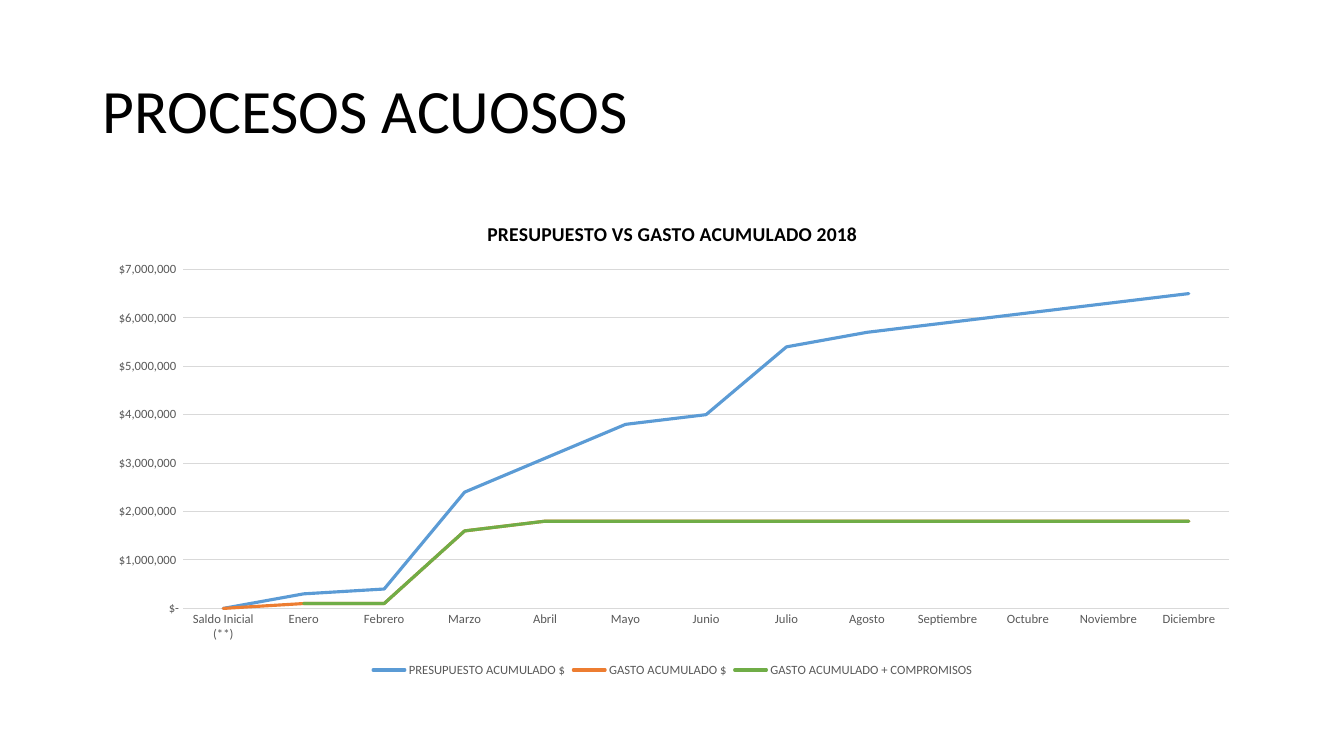
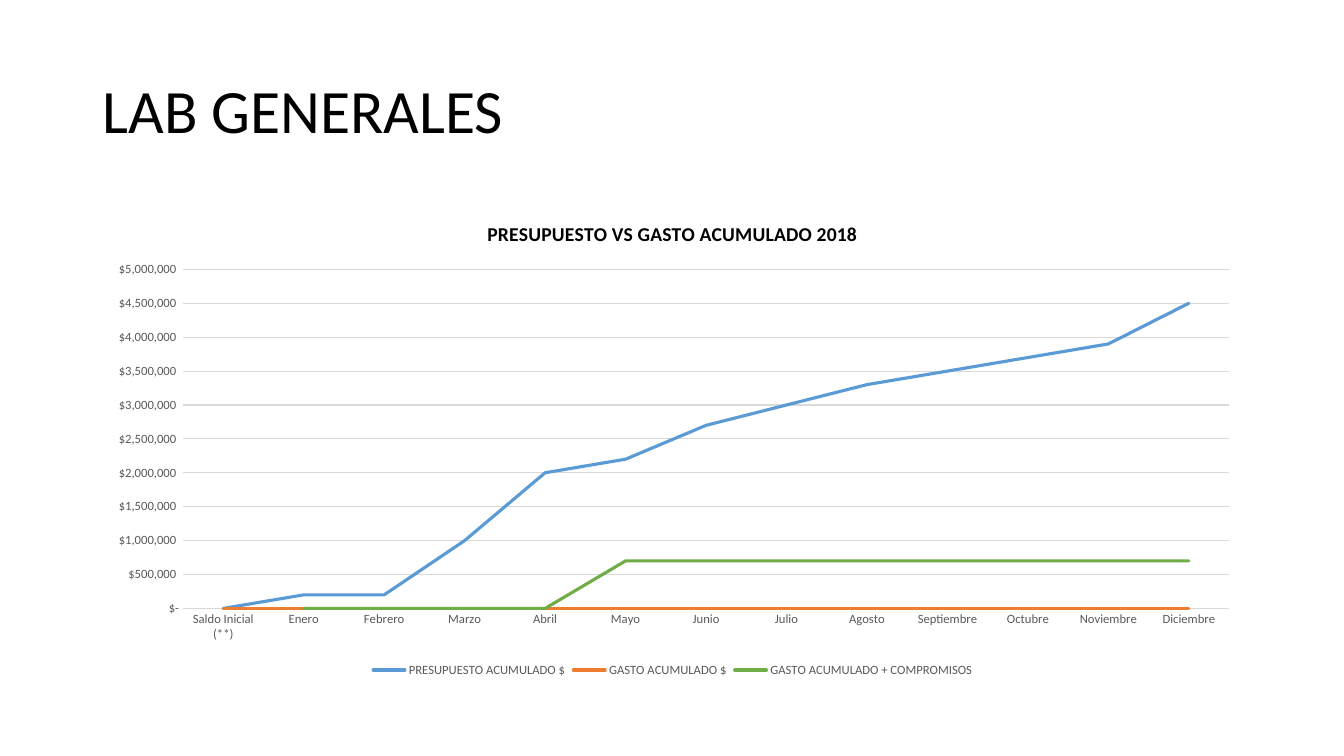
"""Build the two budget-versus-spending slides."""
from dataclasses import dataclass

import pptx
import pptx.chart.chart
import pptx.chart.data
import pptx.dml.color
import pptx.enum.chart
import pptx.enum.text
import pptx.oxml.ns
import pptx.presentation
import pptx.slide
import pptx.text.text
import pptx.util

Inches = pptx.util.Inches
Pt = pptx.util.Pt


@dataclass(frozen=True)
class Theme:
    font: str = "Calibri"
    background: str = "FFFFFF"
    ink: str = "000000"
    muted: str = "595959"
    grid: str = "D9D9D9"
    budget: str = "5B9BD5"
    spent: str = "ED7D31"
    committed: str = "70AD47"
    title_size: float = 44
    chart_title_size: float = 14
    chart_size: float = 10
    label_size: float = 9
    series_width: float = 2.25
    grid_width: float = 0.75


@dataclass(frozen=True)
class Box:
    left: float
    top: float
    width: float
    height: float


@dataclass(frozen=True)
class Department:
    name: str
    budget: list[int]
    spent: list[int]
    committed: list[int | None]
    axis_top: int
    axis_step: int


THEME = Theme()
TITLE_BOX = Box(0.92, 0.4, 11.5, 1.45)
CHART_BOX = Box(0.92, 2, 11.5, 4.76)
CHART_TITLE = "PRESUPUESTO VS GASTO ACUMULADO 2018"
MONEY = '_-"$"* #,##0_-;\\-"$"* #,##0_-;_-"$"* "-"'
PERIODS = [
    "Saldo Inicial (**)", "Enero", "Febrero", "Marzo", "Abril", "Mayo", "Junio",
    "Julio", "Agosto", "Septiembre", "Octubre", "Noviembre", "Diciembre",
]
DEPARTMENTS = [
    Department(
        "PROCESOS ACUOSOS",
        [0, 300000, 400000, 2400000, 3100000, 3800000, 4000000,
         5400000, 5700000, 5900000, 6100000, 6300000, 6500000],
        [0, 100000, 100000, 1600000] + [1800000] * 9,
        [None, 100000, 100000, 1600000] + [1800000] * 9,
        7000000, 1000000,
    ),
    Department(
        "LAB GENERALES",
        [0, 200000, 200000, 1000000, 2000000, 2200000, 2700000,
         3000000, 3300000, 3500000, 3700000, 3900000, 4500000],
        [0] * 13,
        [None, 0, 0, 0, 0] + [700000] * 8,
        5000000, 500000,
    ),
]


def rgb(value: str) -> pptx.dml.color.RGBColor:
    """Return the colour for a hex value."""
    return pptx.dml.color.RGBColor.from_string(value)


def style_font(font: pptx.text.text.Font, size: float, color: str, bold: bool = False) -> None:
    """Apply the theme typeface with a size and colour."""
    font.name = THEME.font
    font.size = Pt(size)
    font.bold = bold
    font.color.rgb = rgb(color)


def add_title(slide: pptx.slide.Slide, text: str) -> None:
    """Place and format the slide title."""
    title = slide.shapes.title
    title.left, title.top = Inches(TITLE_BOX.left), Inches(TITLE_BOX.top)
    title.width, title.height = Inches(TITLE_BOX.width), Inches(TITLE_BOX.height)
    frame = title.text_frame
    frame.text = text
    frame.word_wrap = True
    frame.auto_size = pptx.enum.text.MSO_AUTO_SIZE.NONE
    frame.vertical_anchor = pptx.enum.text.MSO_ANCHOR.MIDDLE
    heading = frame.paragraphs[0]
    heading.alignment = pptx.enum.text.PP_ALIGN.LEFT
    heading.line_spacing = 0.9
    style_font(heading.font, THEME.title_size, THEME.ink)


def style_axes(chart: pptx.chart.chart.Chart, department: Department) -> None:
    """Format the period and money axes."""
    periods, money = chart.category_axis, chart.value_axis
    for axis in (periods, money):
        axis.major_tick_mark = pptx.enum.chart.XL_TICK_MARK.NONE
        axis.minor_tick_mark = pptx.enum.chart.XL_TICK_MARK.NONE
        style_font(axis.tick_labels.font, THEME.label_size, THEME.muted)
    money.minimum_scale, money.maximum_scale = 0, department.axis_top
    money.major_unit = department.axis_step
    money.tick_labels.number_format = MONEY
    money.tick_labels.number_format_is_linked = False
    money.format.line.fill.background()
    money.has_major_gridlines = True
    for line in (periods.format.line, money.major_gridlines.format.line):
        line.color.rgb = rgb(THEME.grid)
        line.width = Pt(THEME.grid_width)


def style_series(chart: pptx.chart.chart.Chart) -> None:
    """Colour the series and round their line ends."""
    plot = chart.plots[0]
    plot.vary_by_categories = False
    for series, color in zip(plot.series, (THEME.budget, THEME.spent, THEME.committed)):
        series.smooth = False
        series.marker.style = pptx.enum.chart.XL_MARKER_STYLE.NONE
        series.format.line.color.rgb = rgb(color)
        series.format.line.width = Pt(THEME.series_width)
        outline = series._element.find(f".//{pptx.oxml.ns.qn('a:ln')}")
        outline.set("cap", "rnd")


def add_budget_chart(slide: pptx.slide.Slide, department: Department) -> None:
    """Draw accumulated budget, spending and commitments."""
    figures = pptx.chart.data.CategoryChartData(number_format=MONEY)
    figures.categories = PERIODS
    figures.add_series("PRESUPUESTO ACUMULADO $", department.budget)
    figures.add_series("GASTO ACUMULADO $", department.spent)
    figures.add_series("GASTO ACUMULADO + COMPROMISOS", department.committed)
    chart = slide.shapes.add_chart(
        pptx.enum.chart.XL_CHART_TYPE.LINE,
        Inches(CHART_BOX.left), Inches(CHART_BOX.top),
        Inches(CHART_BOX.width), Inches(CHART_BOX.height), figures,
    ).chart
    style_font(chart.font, THEME.chart_size, THEME.ink)
    chart.has_title = True
    chart.chart_title.include_in_layout = False
    chart.chart_title.text_frame.text = CHART_TITLE
    heading = chart.chart_title.text_frame.paragraphs[0]
    style_font(heading.font, THEME.chart_title_size, THEME.ink, bold=True)
    chart.has_legend = True
    chart.legend.position = pptx.enum.chart.XL_LEGEND_POSITION.BOTTOM
    chart.legend.include_in_layout = False
    style_font(chart.legend.font, THEME.label_size, THEME.muted)
    style_axes(chart, department)
    style_series(chart)


def add_department_slide(deck: pptx.presentation.Presentation, department: Department) -> None:
    """Add one department's title and chart."""
    slide = deck.slides.add_slide(deck.slide_layouts.get_by_name("Title Only"))
    add_title(slide, department.name)
    add_budget_chart(slide, department)


def main() -> None:
    """Build and save the deck."""
    deck = pptx.Presentation()
    deck.slide_width, deck.slide_height = Inches(13.33), Inches(7.5)
    backdrop = deck.slide_master.background.fill
    backdrop.solid()
    backdrop.fore_color.rgb = rgb(THEME.background)
    for department in DEPARTMENTS:
        add_department_slide(deck, department)
    deck.save("out.pptx")


main()
